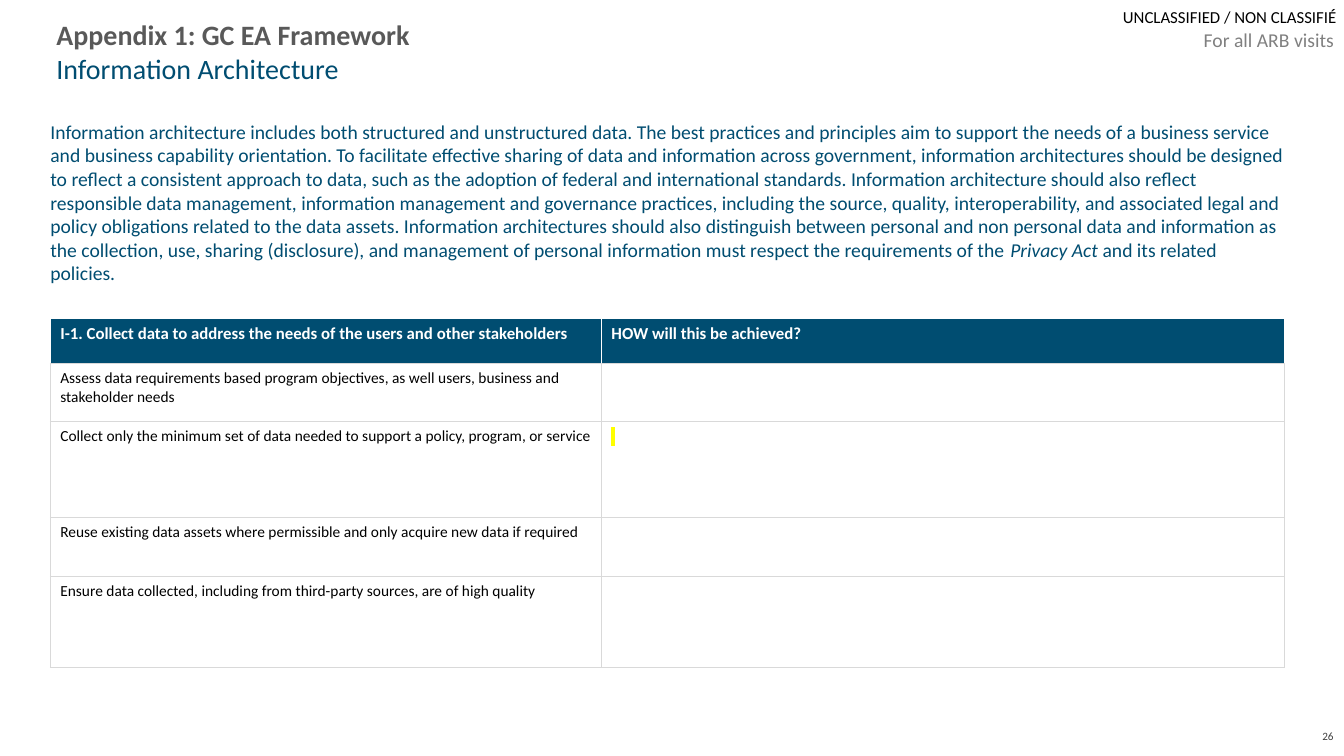
from lxml import etree
from pptx import Presentation
from pptx.dml.color import RGBColor
from pptx.enum.text import MSO_ANCHOR, PP_ALIGN
from pptx.oxml.ns import qn
from pptx.util import Cm, Pt

LEFT, RIGHT = PP_ALIGN.LEFT, PP_ALIGN.RIGHT
TOP, MIDDLE = MSO_ANCHOR.TOP, MSO_ANCHOR.MIDDLE
FONT = "Calibri"
COLORS = {
    "navy": "004D71",
    "heading": "595959",
    "muted": "808080",
    "number": "404040",
    "rule": "D9D9D9",
    "black": "000000",
    "white": "FFFFFF",
    "highlight": "FFFF00",
}


def style_text(frame, size, color, bold=False, align=LEFT, anchor=TOP, insets=(0, 0)):
    frame.word_wrap = True
    frame.vertical_anchor = anchor
    frame.margin_left = frame.margin_right = Cm(insets[0])
    frame.margin_top = frame.margin_bottom = Cm(insets[1])
    for paragraph in frame.paragraphs:
        paragraph.alignment = align
        for run in paragraph.runs:
            run.font.name = FONT
            run.font.size = Pt(size)
            run.font.bold = bold
            run.font.color.rgb = RGBColor.from_string(COLORS[color])


def set_borders(cell, colors):
    properties = cell._tc.get_or_add_tcPr()
    for position, (side, color) in enumerate(zip(("lnL", "lnR", "lnT", "lnB"), colors)):
        line = etree.Element(qn(f"a:{side}"), w=str(Pt(1)))
        fill = etree.SubElement(line, qn("a:solidFill"))
        etree.SubElement(fill, qn("a:srgbClr"), val=COLORS[color])
        properties.insert(position, line)


deck = Presentation()
deck.slide_width, deck.slide_height = Cm(33.87), Cm(19.05)
slide = deck.slides.add_slide(deck.slide_layouts[5])

title = slide.shapes.title
title.left, title.top, title.width, title.height = Cm(1.42), Cm(0.08), Cm(19.41), Cm(2.44)
title.text_frame.text = "Appendix 1: GC EA Framework\vInformation Architecture"
style_text(title.text_frame, 20, "heading", bold=True, anchor=MIDDLE)
subtitle = title.text_frame.paragraphs[0].runs[1]
subtitle.font.bold = False
subtitle.font.color.rgb = RGBColor.from_string(COLORS["navy"])

introduction = slide.shapes.add_textbox(Cm(1.27), Cm(3.02), Cm(31.12), Cm(4.6)).text_frame
statement = introduction.paragraphs[0]
for words in (
    "Information architecture includes both structured and unstructured data. "
    "The best practices and principles aim to support the needs of a business service "
    "and business capability orientation. To facilitate effective sharing of data and "
    "information across government, information architectures should be designed to "
    "reflect a consistent approach to data, such as the adoption of federal and "
    "international standards. ",
    "Information architecture should also reflect responsible "
    "data management, information management and governance practices, including the "
    "source, quality, interoperability, and associated legal and policy obligations "
    "related to the data assets. Information architectures should also distinguish "
    "between personal and non personal data and information as the collection, use, "
    "sharing (disclosure), and management of personal information must respect the "
    "requirements of the ",
    "Privacy Act ",
    "and its related policies.",
):
    statement.add_run().text = words
style_text(introduction, 14, "navy")
statement.runs[2].font.italic = True

practices = [
    ("I-1. Collect data to address the needs of the users and other stakeholders",
     "HOW will this be achieved?", 1.12),
    ("Assess data requirements based program objectives, as well users, business and "
     "stakeholder needs", "", 1.48),
    ("Collect only the minimum set of data needed to support a policy, program, or service",
     " ", 2.41),
    ("Reuse existing data assets where permissible and only acquire new data if required",
     "", 1.48),
    ("Ensure data collected, including from third-party sources, are of high quality",
     "", 2.31),
]
assessment = slide.shapes.add_table(
    len(practices), 2, Cm(1.27), Cm(8.03), Cm(31.11), Cm(8.8)
).table
for column, width in zip(assessment.columns, (13.89, 17.22)):
    column.width = Cm(width)
for row, (practice, response, height) in enumerate(practices):
    assessment.rows[row].height = Cm(height)
    header = row == 0
    for column, words in enumerate((practice, response)):
        cell = assessment.cell(row, column)
        cell.text = words
        cell.fill.solid()
        cell.fill.fore_color.rgb = RGBColor.from_string(COLORS["navy" if header else "white"])
        set_borders(cell, ("white",) * 3 + ("rule",) if header else ("rule",) * 4)
        style_text(cell.text_frame, 12 if header else 11,
                   "white" if header else "black", bold=header)
        cell.margin_left = cell.margin_right = Cm(0.25)
        cell.margin_top = cell.margin_bottom = Cm(0.13)

marker = assessment.cell(2, 1).text_frame.paragraphs[0].runs[0]
highlight = etree.Element(qn("a:highlight"))
etree.SubElement(highlight, qn("a:srgbClr"), val=COLORS["highlight"])
marker.font._element.find(qn("a:solidFill")).addnext(highlight)

for words, box, size, color, align, anchor, insets in (
    ("UNCLASSIFIED / NON CLASSIFIÉ", (28.3, 0.18, 5.56, 0.51), 12, "black", LEFT, TOP, (0, 0)),
    ("26", (32.44, 18.03, 1.42, 1.02), 8, "number", RIGHT, MIDDLE, (0.25, 0.13)),
    ("For all ARB visits", (29.72, 0.58, 4.15, 0.86), 14, "muted", RIGHT, TOP, (0.25, 0.13)),
):
    label = slide.shapes.add_textbox(*map(Cm, box)).text_frame
    label.text = words
    style_text(label, size, color, align=align, anchor=anchor, insets=insets)

deck.save("out.pptx")
